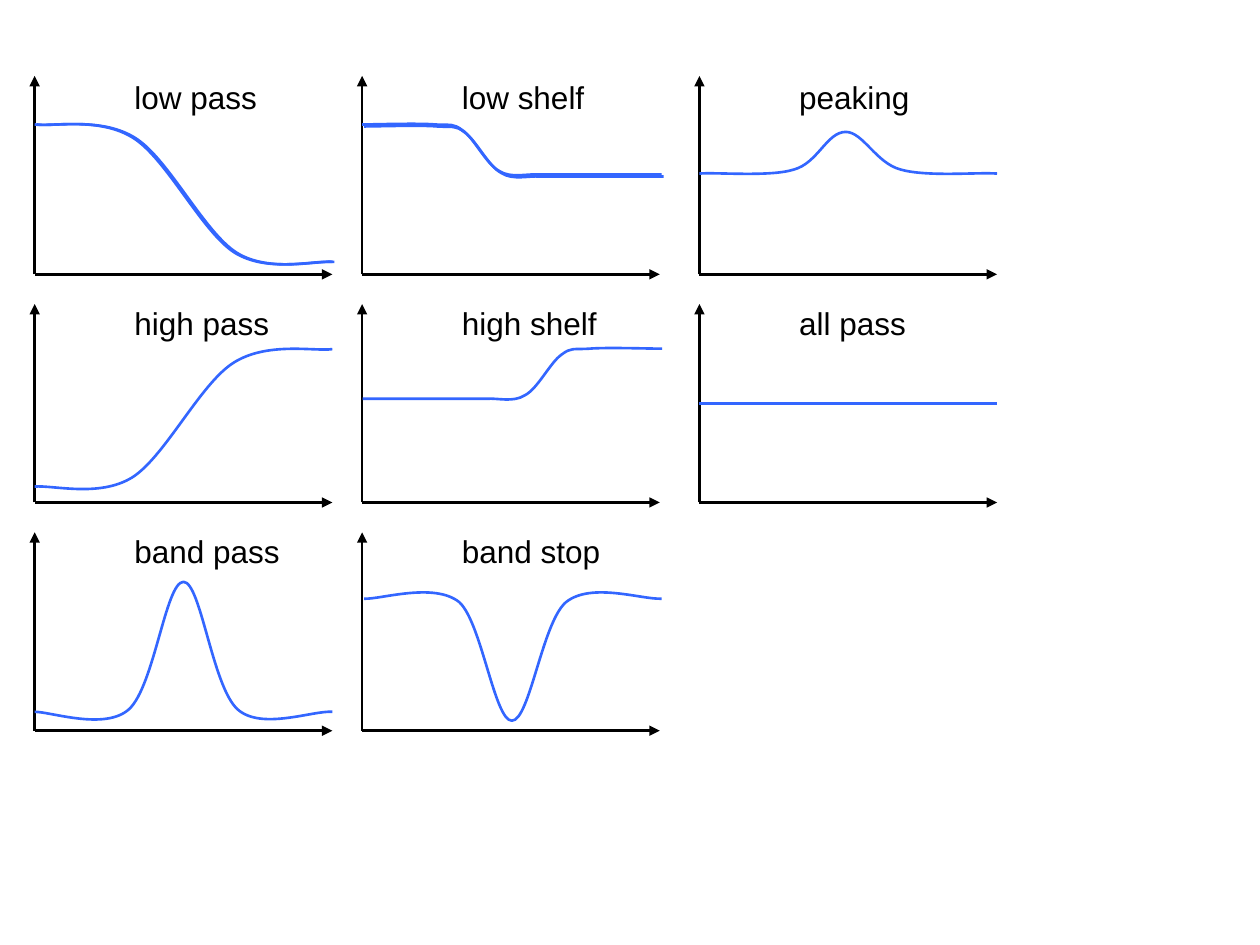
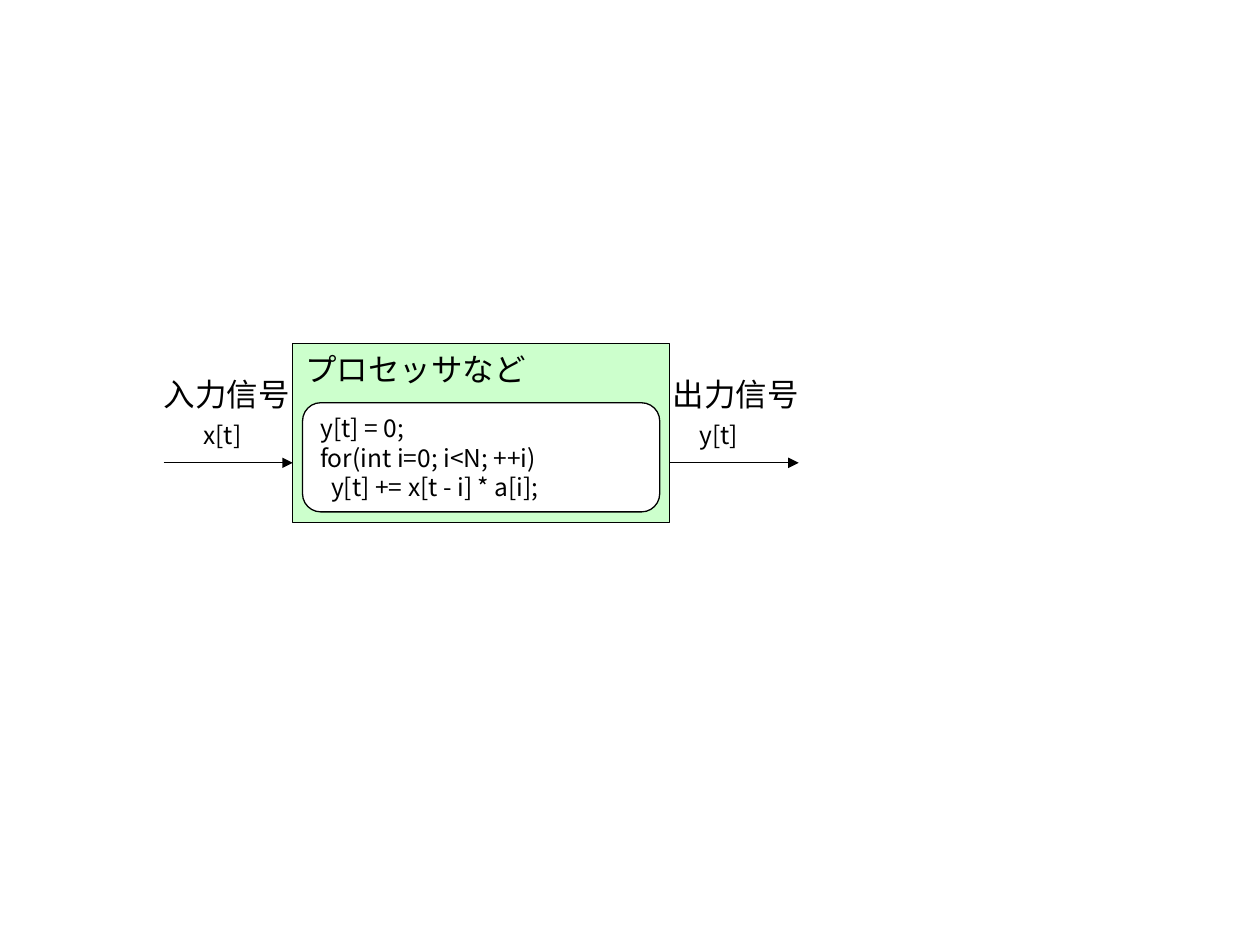
import pptx
import pptx.util
import pptx.dml.color
import pptx.enum.shapes
import pptx.enum.text
import pptx.oxml.ns
from lxml import etree
from pptx.util import Cm

BLACK = pptx.dml.color.RGBColor(0x00, 0x00, 0x00)
WHITE = pptx.dml.color.RGBColor(0xFF, 0xFF, 0xFF)
CURVE_BLUE = pptx.dml.color.RGBColor(0x33, 0x66, 0xFF)
PROCESSOR_GREEN = pptx.dml.color.RGBColor(0xCC, 0xFF, 0xCC)
LABEL_FONT = "Arial"
CODE_FONT = "Noto Sans CJK JP"
LABEL_SIZE, CODE_SIZE = 18, 14
LINE_HEIGHT = 1.2

AXIS_WIDTH, AXIS_HEIGHT = 6.0, 4.0
COLUMN_LEFTS = (0.7, 7.3, 14.1)
FIRST_BASELINE, ROW_STEP = 5.53, 4.6
LABEL_TOPS = (1.57, 6.13, 10.73)
LABEL_INDENT = 2.01

LOW_PASS = [
    (0, 3.02), (0.36, 2.97), (1.32, 3.18), (2.0, 2.74), (2.67, 2.31),
    (3.38, 0.84), (4.04, 0.43), (4.7, 0.03), (5.61, 0.28), (6.0, 0.25),
]
LOW_SHELF = [
    (0, 3.02), (0.25, 3.02), (1.14, 3.05), (1.47, 3.02), (1.8, 3.0),
    (1.83, 3.05), (2.03, 2.9), (2.26, 2.74), (2.51, 2.21), (2.77, 2.08),
    (3.0, 1.93), (3.33, 2.03), (3.53, 2.01), (3.76, 2.01), (3.78, 2.01),
    (4.04, 2.01), (4.29, 2.01), (4.67, 2.01), (5.0, 2.01), (5.33, 2.01),
    (5.84, 2.01), (6.04, 2.01),
]
PEAKING = [
    (0, 2.03), (0.33, 2.06), (1.42, 1.96), (1.9, 2.11), (2.39, 2.24),
    (2.57, 2.87), (2.95, 2.87), (3.3, 2.87), (3.56, 2.24), (4.06, 2.11),
    (4.6, 1.96), (5.61, 2.06), (6.0, 2.03),
]
BAND_PASS = [
    (0, 0.38), (0.33, 0.38), (1.42, 0), (1.9, 0.43), (2.41, 0.89),
    (2.64, 3.0), (3.0, 3.0), (3.35, 3.0), (3.58, 0.89), (4.09, 0.43),
    (4.57, 0), (5.61, 0.41), (6.0, 0.38),
]
BAND_STOP = [
    (0.04, 2.66), (0.36, 2.64), (1.45, 3.0), (1.96, 2.59), (2.41, 2.18),
    (2.67, 0.2), (3.02, 0.2), (3.38, 0.2), (3.63, 2.18), (4.11, 2.59),
    (4.62, 3.0), (5.64, 2.64), (6.04, 2.66),
]
ALL_PASS_LEVEL = 2.0


def mirrored(points):
    return [(AXIS_WIDTH - x, y) for x, y in points]


def shifted(points, right, up):
    return [(x + right, y + up) for x, y in points]


FILTER_ROWS = [
    [
        ("low pass", 2.6, [LOW_PASS, shifted(LOW_PASS, 0.04, 0)]),
        ("low shelf", 2.6, [LOW_SHELF, shifted(LOW_SHELF, 0.04, -0.04)]),
        ("peaking", 2.4, [PEAKING]),
    ],
    [
        ("high pass", 2.8, [shifted(mirrored(LOW_PASS), 0, 0.07)]),
        ("high shelf", 2.8, [shifted(mirrored(LOW_SHELF), 0.05, 0.08)]),
        ("all pass", 2.3, []),
    ],
    [
        ("band pass", 3.05, [BAND_PASS]),
        ("band stop", 2.9, [BAND_STOP]),
    ],
]

PROCESSOR_TITLE = "プロセッサなど"
PROCESSOR_CODE = "y[t] = 0;\nfor(int i=0; i<N; ++i)\n  y[t] += x[t - i] * a[i];"
SIGNALS = [
    {"name": "入力信号", "symbol": "x[t]", "arrow": 3.3, "name_left": 3.3, "symbol_left": 4.1},
    {"name": "出力信号", "symbol": "y[t]", "arrow": 13.5, "name_left": 13.56, "symbol_left": 14.1},
]
SIGNAL_LENGTH, SIGNAL_LEVEL = 2.6, 9.33


def add_line(slide, start, end, color=BLACK, width=1.5, arrow=True):
    connector = slide.shapes.add_connector(
        pptx.enum.shapes.MSO_CONNECTOR.STRAIGHT,
        *(Cm(value) for value in (*start, *end)))
    connector.line.color.rgb = color
    connector.line.width = pptx.util.Pt(width)
    properties = connector._element.spPr
    if arrow:
        outline = properties.find(pptx.oxml.ns.qn("a:ln"))
        etree.SubElement(outline, pptx.oxml.ns.qn("a:tailEnd"), type="triangle")
    etree.SubElement(properties, pptx.oxml.ns.qn("a:effectLst"))


def write_text(shape, text, font, size):
    text_frame = shape.text_frame
    text_frame.text = text
    text_frame.word_wrap = False
    for paragraph in text_frame.paragraphs:
        paragraph.alignment = pptx.enum.text.PP_ALIGN.LEFT
        paragraph.line_spacing = pptx.util.Pt(size * LINE_HEIGHT)
        for run in paragraph.runs:
            run.font.size = pptx.util.Pt(size)
            run.font.color.rgb = BLACK
            run.font.name = font
            etree.SubElement(run._r.get_or_add_rPr(), pptx.oxml.ns.qn("a:ea"), typeface=CODE_FONT)


def add_label(slide, text, left, top, width, font=LABEL_FONT, size=LABEL_SIZE):
    height = pptx.util.Pt(size * LINE_HEIGHT)
    box = slide.shapes.add_textbox(Cm(left), Cm(top), Cm(width), height)
    text_frame = box.text_frame
    text_frame.margin_left = text_frame.margin_right = 0
    text_frame.margin_top = text_frame.margin_bottom = 0
    write_text(box, text, font, size)


def add_block(slide, kind, left, top, width, height, fill, text, font, size, anchor):
    block = slide.shapes.add_shape(kind, Cm(left), Cm(top), Cm(width), Cm(height))
    block.shadow.inherit = False
    block.fill.solid()
    block.fill.fore_color.rgb = fill
    block.line.color.rgb = BLACK
    block.line.width = pptx.util.Pt(0.75)
    write_text(block, text, font, size)
    block.text_frame.vertical_anchor = anchor


def bend_segments(curve):
    segments = list(curve._element.iter(pptx.oxml.ns.qn("a:lnTo")))
    for index in range(0, len(segments), 3):
        first, *others = segments[index:index + 3]
        bezier = etree.Element(pptx.oxml.ns.qn("a:cubicBezTo"))
        first.addprevious(bezier)
        for segment in (first, *others):
            bezier.append(segment[0])
            segment.getparent().remove(segment)


def add_curve(slide, controls, left, baseline):
    points = [(Cm(left + x), Cm(baseline - y)) for x, y in controls]
    builder = slide.shapes.build_freeform(*points[0])
    builder.add_line_segments(points[1:], close=False)
    curve = builder.convert_to_shape()
    bend_segments(curve)
    curve.shadow.inherit = False
    curve.fill.background()
    curve.line.color.rgb = CURVE_BLUE
    curve.line.width = pptx.util.Pt(1.5)


def build_filter_slide(slide):
    for row, (filters, label_top) in enumerate(zip(FILTER_ROWS, LABEL_TOPS)):
        baseline = FIRST_BASELINE + row * ROW_STEP
        for left, (name, label_width, curves) in zip(COLUMN_LEFTS, filters):
            origin = (left, baseline)
            add_line(slide, origin, (left + AXIS_WIDTH, baseline))
            add_line(slide, origin, (left, baseline - AXIS_HEIGHT))
            for curve in curves:
                add_curve(slide, curve, left, baseline)
            if not curves:
                level = baseline - ALL_PASS_LEVEL
                add_line(slide, (left, level), (left + AXIS_WIDTH, level), CURVE_BLUE, arrow=False)
            add_label(slide, name, left + LABEL_INDENT, label_top, label_width)


def build_processor_slide(slide):
    shapes = pptx.enum.shapes.MSO_SHAPE
    anchors = pptx.enum.text.MSO_ANCHOR
    add_block(slide, shapes.RECTANGLE, 5.9, 6.93, 7.6, 3.6, PROCESSOR_GREEN,
              PROCESSOR_TITLE, LABEL_FONT, LABEL_SIZE, anchors.TOP)
    add_block(slide, shapes.ROUNDED_RECTANGLE, 6.1, 8.12, 7.2, 2.2, WHITE,
              PROCESSOR_CODE, CODE_FONT, CODE_SIZE, anchors.MIDDLE)
    for signal in SIGNALS:
        add_line(slide, (signal["arrow"], SIGNAL_LEVEL),
                 (signal["arrow"] + SIGNAL_LENGTH, SIGNAL_LEVEL), width=0.75)
        add_label(slide, signal["name"], signal["name_left"], 7.57, 2.54)
        add_label(slide, signal["symbol"], signal["symbol_left"], 8.47, 0.99, CODE_FONT, CODE_SIZE)


def main():
    presentation = pptx.Presentation()
    presentation.slide_width, presentation.slide_height = Cm(25.4), Cm(19.05)
    blank_layout = presentation.slide_layouts[6]
    for build in (build_filter_slide, build_processor_slide):
        build(presentation.slides.add_slide(blank_layout))
    presentation.save("out.pptx")


if __name__ == "__main__":
    main()
